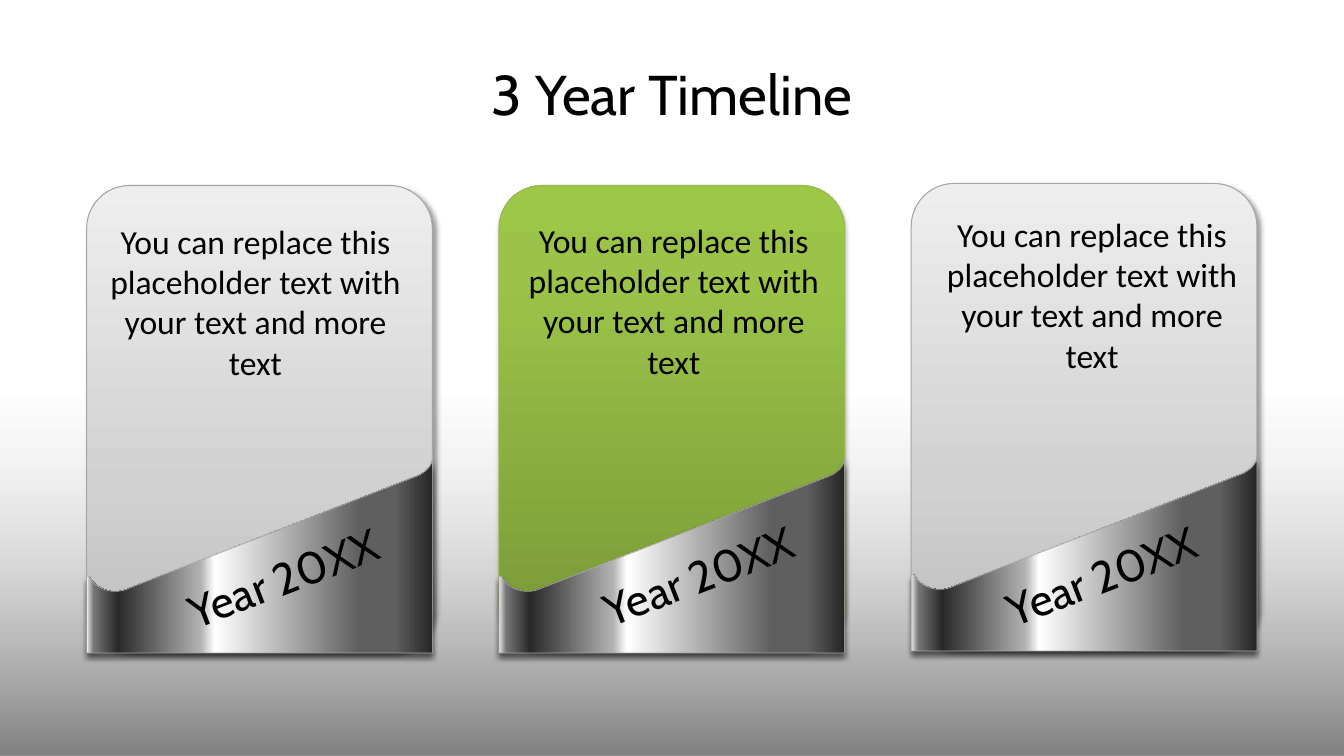
from dataclasses import dataclass

from lxml import etree
from pptx import Presentation
from pptx import util as u
from pptx.dml.color import RGBColor
from pptx.enum import shapes, text
from pptx.oxml.ns import qn

COLS, ROWS = 160, 90
CELL = u.Inches(1 / 12)
CARD_W, CARD_H, CARD_PITCH = 41.16, 55.32, 49.08
BAND_DROP, BAND_H = 32.5, 23.16
MESSAGE = "You can replace this placeholder text with your text and more text"


@dataclass(frozen=True)
class Box:
    left: float
    top: float
    width: float
    height: float

    def emu(self) -> list[int]:
        return [cells(v) for v in (self.left, self.top, self.width, self.height)]


@dataclass(frozen=True)
class Stop:
    position: int
    color: str
    opacity: int = 100


@dataclass(frozen=True)
class Shadow:
    opacity: int
    blur: float
    distance: float
    angle: int


@dataclass(frozen=True)
class Style:
    stops: tuple[Stop, ...]
    angle: int
    line: str | None = None
    line_width: float = 0.75
    shadow: Shadow | None = None


@dataclass(frozen=True)
class Card:
    top: float
    message_left: float
    message_top: float
    year_left: float
    year_top: float
    style: Style


FLOOR = Style((Stop(0, "D9D9D9", 4), Stop(46, "BFBFBF", 60), Stop(100, "808080")), 90)
GREY = Style((Stop(0, "BDBDBD"), Stop(35, "D1D1D1"), Stop(100, "EEEEEE")), 270,
             "A6A6A6", shadow=Shadow(40, 4, 3, 45))
GREEN = Style((Stop(0, "779737"), Stop(80, "9BC348"), Stop(100, "9DC746")), 270,
              "98B955", shadow=Shadow(35, 3.1, 1.8, 90))
METAL = Style((Stop(0, "262626"), Stop(11, "5F5F5F"), Stop(21, "5F5F5F"),
               Stop(63, "FFFFFF"), Stop(67, "B2B2B2"), Stop(91, "292929"),
               Stop(98, "777777"), Stop(100, "EAEAEA")), 180,
              "A6A6A6", 0.5, Shadow(56, 4, 3, 90))

CARDS = (
    Card(22.08, 10.44, 25.68, 17.76, 64.92, GREY),
    Card(22.08, 60.24, 25.56, 67.2, 64.68, GREEN),
    Card(21.84, 110.04, 24.84, 115.2, 64.68, GREY),
)


def cells(count: float) -> int:
    return round(count * CELL)


def rgb(color: str) -> RGBColor:
    return RGBColor.from_string(color)


def add_color(parent, color: str, opacity: int) -> None:
    clr = etree.SubElement(parent, qn("a:srgbClr"), val=color)
    if opacity < 100:
        etree.SubElement(clr, qn("a:alpha"), val=str(opacity * 1000))


def apply_style(sp, style: Style) -> None:
    sp.fill.gradient()
    grad = sp._element.spPr.find(qn("a:gradFill"))
    stop_list = grad.find(qn("a:gsLst"))
    for old in list(stop_list):
        stop_list.remove(old)
    for stop in style.stops:
        gs = etree.SubElement(stop_list, qn("a:gs"), pos=str(stop.position * 1000))
        add_color(gs, stop.color, stop.opacity)
    grad.find(qn("a:lin")).set("ang", str(style.angle * 60000))
    if style.line:
        sp.line.color.rgb = rgb(style.line)
        sp.line.width = u.Pt(style.line_width)
    else:
        sp.line.fill.background()
    sp.shadow.inherit = False
    if style.shadow:
        effects = sp._element.spPr.find(qn("a:effectLst"))
        outer = etree.SubElement(
            effects, qn("a:outerShdw"), blurRad=str(u.Pt(style.shadow.blur)),
            dist=str(u.Pt(style.shadow.distance)),
            dir=str(style.shadow.angle * 60000), algn="ctr", rotWithShape="0")
        add_color(outer, "000000", style.shadow.opacity)


def add_text(slide, box: Box, words: str, size: int, font: str, rotation: int = 0,
             grow: bool = True):
    sp = slide.shapes.add_textbox(*box.emu())
    sp.rotation = rotation
    tf = sp.text_frame
    tf.word_wrap = True
    tf.text = words
    if grow:
        tf.auto_size = text.MSO_AUTO_SIZE.SHAPE_TO_FIT_TEXT
    p = tf.paragraphs[0]
    p.alignment = text.PP_ALIGN.CENTER
    r = p.runs[0]
    r.font.size, r.font.name = u.Pt(size), font
    r.font.color.rgb = rgb("000000")
    return sp


def curve(*controls: tuple[float, float], steps: int = 12) -> list[tuple[float, float]]:
    """Points along a cubic Bezier curve with four controls."""
    points = []
    for i in range(steps + 1):
        t = i / steps
        weights = ((1 - t) ** 3, 3 * t * (1 - t) ** 2, 3 * t * t * (1 - t), t ** 3)
        points.append(tuple(sum(w * c[axis] for w, c in zip(weights, controls))
                            for axis in (0, 1)))
    return points


def add_band(slide, left: float, top: float) -> None:
    outline = [(CARD_W, 0), (CARD_W, BAND_H), (0, BAND_H), (0, 14.04), (0.3, 14.04)]
    outline += curve((0.36, 14.16), (1.2, 15.6), (3.12, 16.2), (4.68, 15.6))
    outline += curve((39.48, 2.04), (40.44, 1.56), (CARD_W, 0.84), (CARD_W, 0))
    points = [(cells(x), cells(y)) for x, y in outline]
    builder = slide.shapes.build_freeform(*points[0])
    builder.add_line_segments(points[1:], close=True)
    apply_style(builder.convert_to_shape(cells(left), cells(top)), METAL)


def add_card(slide, index: int, card: Card) -> None:
    left = 10.32 + index * CARD_PITCH
    sp = slide.shapes.add_shape(shapes.MSO_SHAPE.ROUNDED_RECTANGLE,
                                *Box(left, card.top, CARD_W, CARD_H).emu())
    sp.adjustments[0] = 0.124
    apply_style(sp, card.style)
    add_text(slide, Box(card.message_left, card.message_top, 39.96, 24.36),
             MESSAGE, 24, "Calibri")
    add_band(slide, left, card.top + BAND_DROP)
    add_text(slide, Box(card.year_left, card.year_top, 31.92, 7.68),
             "Year 20XX", 32, "Cabin", rotation=339)


def main() -> None:
    prs = Presentation()
    prs.slide_width, prs.slide_height = cells(COLS), cells(ROWS)
    slide = prs.slides.add_slide(prs.slide_layouts[6])
    floor = slide.shapes.add_shape(shapes.MSO_SHAPE.RECTANGLE,
                                   *Box(0, 47.4, COLS, ROWS - 47.4).emu())
    apply_style(floor, FLOOR)
    title = add_text(slide, Box(8, 3.6, 144, 15), "3 Year Timeline", 40, "Cabin",
                     grow=False)
    title.text_frame.vertical_anchor = text.MSO_ANCHOR.MIDDLE
    for index, card in enumerate(CARDS):
        add_card(slide, index, card)
    prs.save("out.pptx")


if __name__ == "__main__":
    main()
